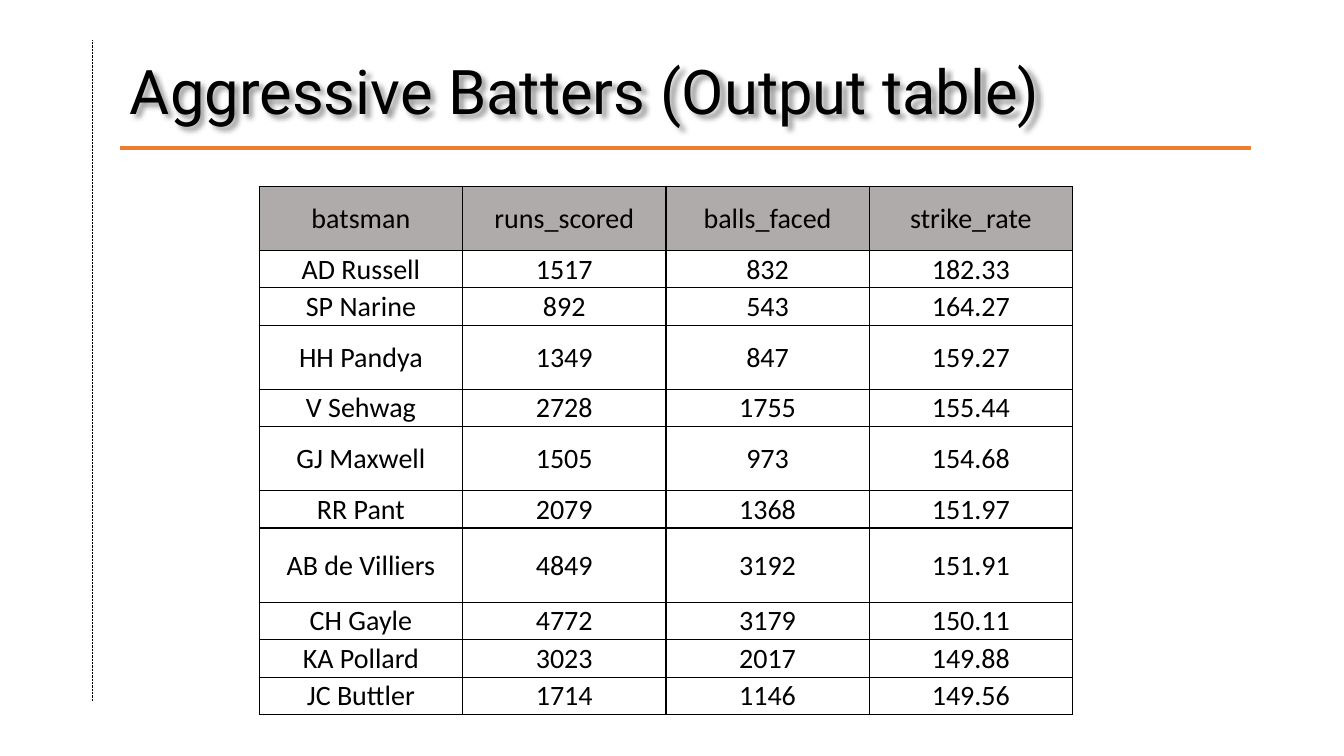
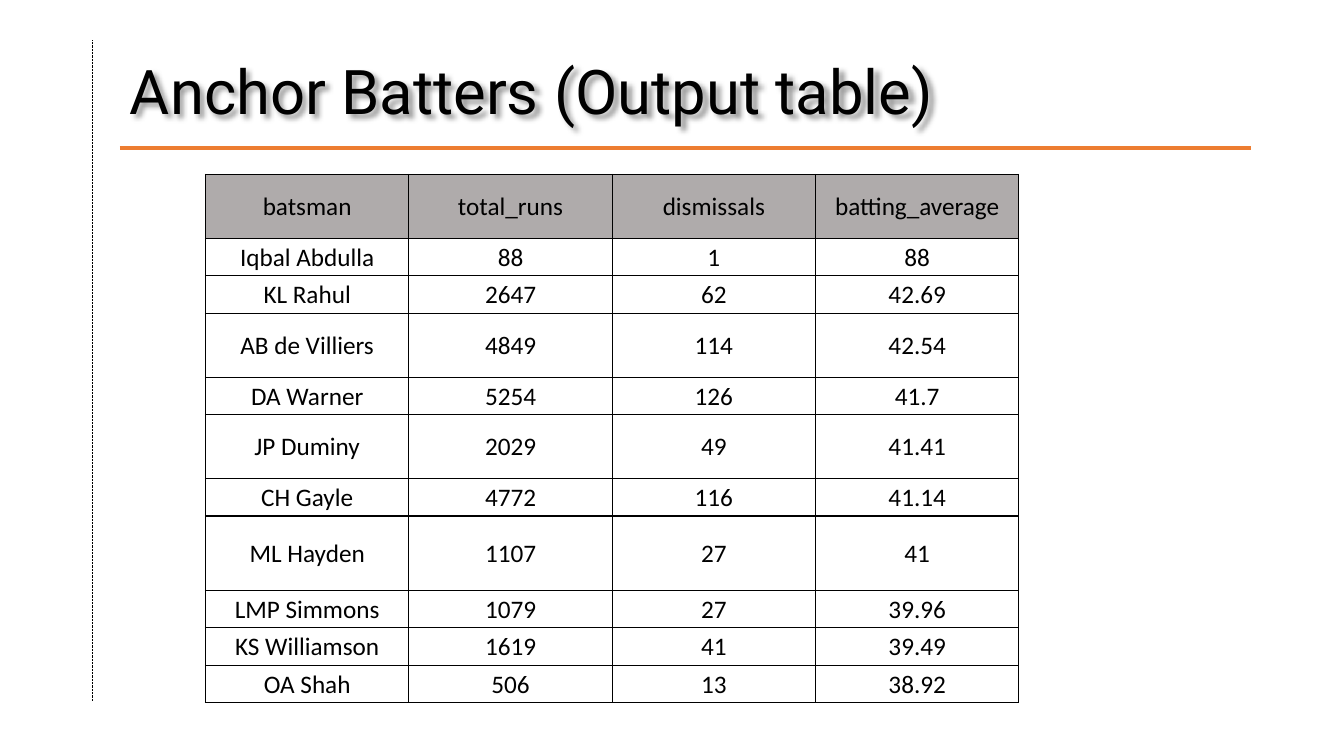
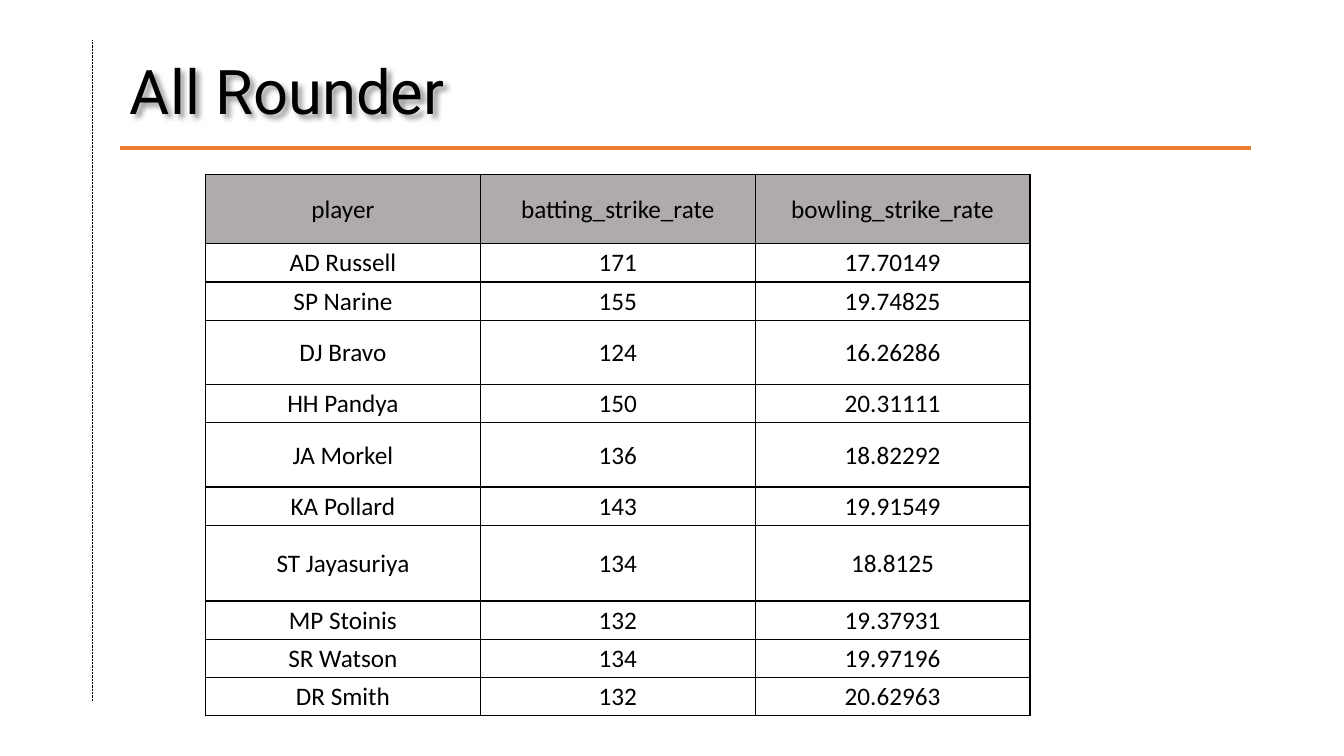
from lxml.etree import SubElement
from pptx import Presentation
from pptx.dml.color import RGBColor
from pptx.enum.dml import MSO_LINE
from pptx.enum.shapes import MSO_CONNECTOR
from pptx.enum.text import MSO_ANCHOR, PP_ALIGN
from pptx.oxml import parse_xml
from pptx.oxml.ns import nsdecls, qn
from pptx.util import Pt

COLORS = {"text": "000000", "rule": "ED7D31", "header": "AFABAB"}
TITLE_FONT, BODY_FONT = "Roboto", "Calibri"
LEFT, RIGHT, TOP, RULE_Y = 85.7, 893.5, 28.8, 105.8
MARGIN_X, MARGIN_BOTTOM = 66.2, 500.4
TITLE_SHADOW = (
    f'<a:effectLst {nsdecls("a")}>'
    '<a:outerShdw blurRad="50800" dist="38100" dir="2700000" algn="tl" rotWithShape="0">'
    '<a:srgbClr val="000000"><a:alpha val="40000"/></a:srgbClr>'
    '</a:outerShdw></a:effectLst>'
)

ROW_HEIGHTS = [45.6, 26.8, 26.8, 45.6, 26.8, 45.6, 26.8, 53, 26.8, 26.8, 26.8]
ROUNDER_HEIGHTS = [49.4, 27.3, 27.3, 46, 27.3, 46, 27.3, 54, 27.3, 27.3, 27.3]

SLIDES = [
    {
        "title": "Aggressive Batters (Output table)",
        "left": 185.2, "top": 133.2, "col_width": 145.25, "size": 20,
        "heights": ROW_HEIGHTS,
        "rows": [
            ("batsman", "runs_scored", "balls_faced", "strike_rate"),
            ("AD Russell", "1517", "832", "182.33"),
            ("SP Narine", "892", "543", "164.27"),
            ("HH Pandya", "1349", "847", "159.27"),
            ("V Sehwag", "2728", "1755", "155.44"),
            ("GJ Maxwell", "1505", "973", "154.68"),
            ("RR Pant", "2079", "1368", "151.97"),
            ("AB de Villiers", "4849", "3192", "151.91"),
            ("CH Gayle", "4772", "3179", "150.11"),
            ("KA Pollard", "3023", "2017", "149.88"),
            ("JC Buttler", "1714", "1146", "149.56"),
        ],
    },
    {
        "title": "Anchor Batters (Output table)",
        "left": 146.8, "top": 124.7, "col_width": 145.25, "size": 18,
        "heights": ROW_HEIGHTS,
        "rows": [
            ("batsman", "total_runs", "dismissals", "batting_average"),
            ("Iqbal Abdulla", "88", "1", "88"),
            ("KL Rahul", "2647", "62", "42.69"),
            ("AB de Villiers", "4849", "114", "42.54"),
            ("DA Warner", "5254", "126", "41.7"),
            ("JP Duminy", "2029", "49", "41.41"),
            ("CH Gayle", "4772", "116", "41.14"),
            ("ML Hayden", "1107", "27", "41"),
            ("LMP Simmons", "1079", "27", "39.96"),
            ("KS Williamson", "1619", "41", "39.49"),
            ("OA Shah", "506", "13", "38.92"),
        ],
    },
    {
        "title": "All Rounder",
        "left": 146.8, "top": 124.7, "col_width": 196.3, "size": 18,
        "heights": ROUNDER_HEIGHTS,
        "rows": [
            ("player", "batting_strike_rate", "bowling_strike_rate"),
            ("AD Russell", "171", "17.70149"),
            ("SP Narine", "155", "19.74825"),
            ("DJ Bravo", "124", "16.26286"),
            ("HH Pandya", "150", "20.31111"),
            ("JA Morkel", "136", "18.82292"),
            ("KA Pollard", "143", "19.91549"),
            ("ST Jayasuriya", "134", "18.8125"),
            ("MP Stoinis", "132", "19.37931"),
            ("SR Watson", "134", "19.97196"),
            ("DR Smith", "132", "20.62963"),
        ],
    },
]


def add_run(p, text, font, size):
    r = p.add_run()
    r.text = text
    r.font.name = font
    r.font.size = Pt(size)
    r.font.color.rgb = RGBColor.from_string(COLORS["text"])


def add_rule(s, x1, y1, x2, y2, color, width):
    line = s.shapes.add_connector(MSO_CONNECTOR.STRAIGHT, Pt(x1), Pt(y1), Pt(x2), Pt(y2))
    line.line.color.rgb = RGBColor.from_string(COLORS[color])
    line.line.width = Pt(width)
    SubElement(line._element.spPr, qn("a:effectLst"))
    return line


prs = Presentation()
prs.slide_width, prs.slide_height = Pt(960), Pt(540)

for content in SLIDES:
    s = prs.slides.add_slide(prs.slide_layouts[6])

    margin = add_rule(s, MARGIN_X, TOP, MARGIN_X, MARGIN_BOTTOM, "text", 0.5)
    margin.line.dash_style = MSO_LINE.ROUND_DOT
    add_rule(s, LEFT, RULE_Y, RIGHT, RULE_Y, "rule", 3)

    title = s.shapes.add_textbox(Pt(LEFT), Pt(TOP), Pt(RIGHT - LEFT), Pt(RULE_Y - TOP))
    title._element.spPr.append(parse_xml(TITLE_SHADOW))
    tf = title.text_frame
    tf.word_wrap = True
    tf.vertical_anchor = MSO_ANCHOR.MIDDLE
    p = tf.paragraphs[0]
    p.line_spacing = 0.9
    add_run(p, content["title"], TITLE_FONT, 44)

    rows, heights = content["rows"], content["heights"]
    cols = len(rows[0])
    table = s.shapes.add_table(
        len(rows), cols, Pt(content["left"]), Pt(content["top"]),
        Pt(content["col_width"] * cols), Pt(sum(heights)),
    ).table
    table.first_row = table.horz_banding = False
    for column in table.columns:
        column.width = Pt(content["col_width"])
    for i, (values, height) in enumerate(zip(rows, heights)):
        table.rows[i].height = Pt(height)
        for j, value in enumerate(values):
            cell = table.cell(i, j)
            cell.vertical_anchor = MSO_ANCHOR.MIDDLE
            cell.margin_left = cell.margin_right = cell.margin_top = Pt(0.7)
            cell.margin_bottom = Pt(0)
            tcPr = cell._tc.get_or_add_tcPr()
            for side in ("lnL", "lnR", "lnT", "lnB"):
                ln = SubElement(tcPr, qn(f"a:{side}"), w=str(Pt(1)))
                fill = SubElement(ln, qn("a:solidFill"))
                SubElement(fill, qn("a:srgbClr"), val=COLORS["text"])
            if i == 0:
                cell.fill.solid()
                cell.fill.fore_color.rgb = RGBColor.from_string(COLORS["header"])
            else:
                cell.fill.background()
            p = cell.text_frame.paragraphs[0]
            p.alignment = PP_ALIGN.CENTER
            add_run(p, value, BODY_FONT, content["size"])

prs.save("out.pptx")
